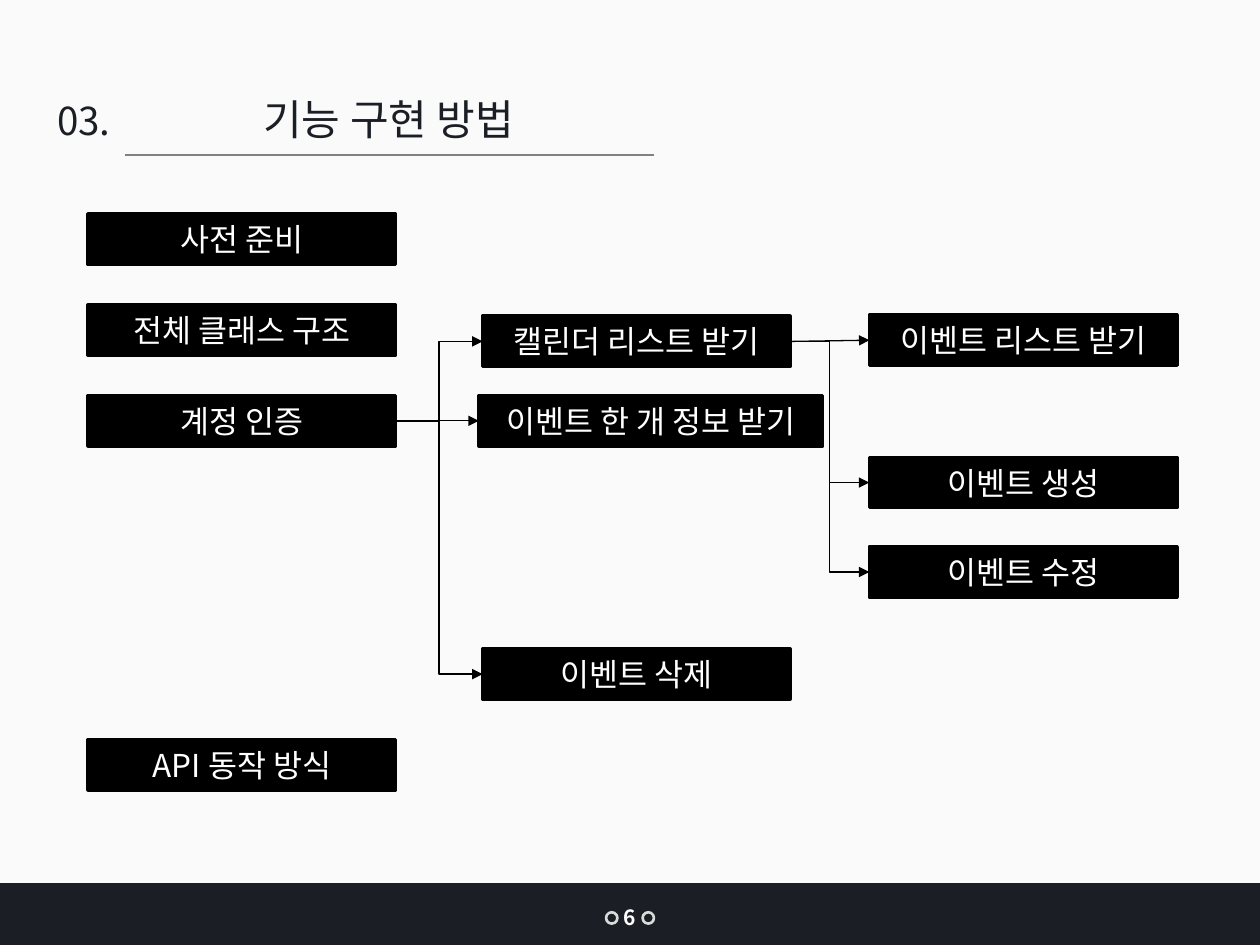
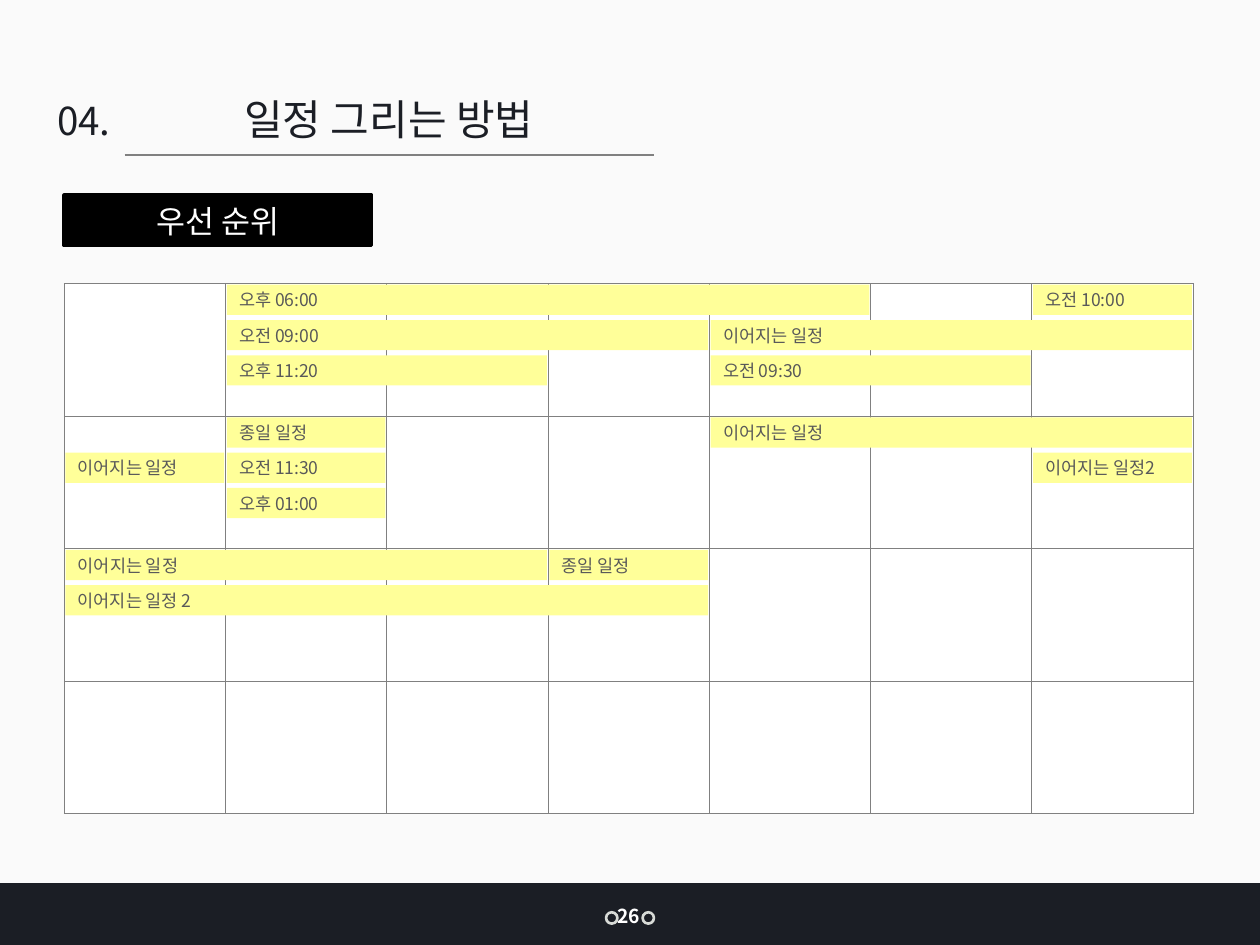
from dataclasses import dataclass

from lxml import etree
from pptx import Presentation
from pptx.dml.color import RGBColor
from pptx.enum.shapes import MSO_CONNECTOR, MSO_SHAPE
from pptx.enum.text import MSO_ANCHOR, PP_ALIGN
from pptx.oxml.ns import qn
from pptx.util import Inches, Pt

RECTANGLE, OVAL = MSO_SHAPE.RECTANGLE, MSO_SHAPE.OVAL
STRAIGHT, ELBOW = MSO_CONNECTOR.STRAIGHT, MSO_CONNECTOR.ELBOW
LEFT, CENTER = PP_ALIGN.LEFT, PP_ALIGN.CENTER
MIDDLE = MSO_ANCHOR.MIDDLE

FONT = "Noto Sans CJK KR"
COLORS = {
    "page": "FAFAFA", "navy": "1B1E25", "ring": "D8DBD7", "rule": "808080",
    "black": "000000", "white": "FFFFFF", "event": "FFFF99", "event_text": "595959",
}

# Connection sites of a rectangle
LEFT_SITE, RIGHT_SITE = 1, 3

LABEL_WIDTH, LABEL_HEIGHT = 2.44, 0.4

# Calendar grid
GRID_LEFT, GRID_TOP, GRID_WIDTH, GRID_HEIGHT = 0.51, 2.25, 8.96, 4.21
WEEKS, DAYS = 4, 7
DAY_WIDTH, WEEK_HEIGHT = GRID_WIDTH / DAYS, GRID_HEIGHT / WEEKS
EVENT_HEIGHT, LANE_STEP, EVENT_MARGIN = 0.24, 0.28, 0.01


@dataclass
class Label:
    """A black box with white text."""
    text: str
    left: float
    top: float
    width: float = LABEL_WIDTH


@dataclass
class Event:
    """A bar in the calendar: week row, lane in the week, first day and length."""
    text: str
    week: int
    lane: int
    day: int
    days: int


AUTH, CALENDARS, ONE_EVENT = "계정 인증", "캘린더 리스트 받기", "이벤트 한 개 정보 받기"
EVENTS_LIST, CREATE, UPDATE, DELETE = "이벤트 리스트 받기", "이벤트 생성", "이벤트 수정", "이벤트 삭제"
FIRST, SECOND, THIRD = 0.7, 3.83, 6.9

LABELS = [
    Label("사전 준비", FIRST, 1.7),
    Label("전체 클래스 구조", FIRST, 2.42),
    Label(AUTH, FIRST, 3.14),
    Label("API 동작 방식", FIRST, 5.87),
    Label(CALENDARS, SECOND, 2.51),
    Label(ONE_EVENT, 3.8, 3.14, 2.73),
    Label(DELETE, SECOND, 5.15),
    Label(EVENTS_LIST, THIRD, 2.5),
    Label(CREATE, THIRD, 3.63),
    Label(UPDATE, THIRD, 4.34),
]
ARROWS = [
    (CALENDARS, EVENTS_LIST, STRAIGHT),
    (AUTH, CALENDARS, ELBOW),
    (AUTH, ONE_EVENT, STRAIGHT),
    (CALENDARS, CREATE, ELBOW),
    (CALENDARS, UPDATE, ELBOW),
    (AUTH, DELETE, ELBOW),
]

EVENTS = [
    Event("오후 06:00", 0, 0, 1, 4),
    Event("오전 10:00", 0, 0, 6, 1),
    Event("오전 09:00", 0, 1, 1, 3),
    Event("이어지는 일정", 0, 1, 4, 3),
    Event("오후 11:20", 0, 2, 1, 2),
    Event("오전 09:30", 0, 2, 4, 2),
    Event("종일 일정", 1, 0, 1, 1),
    Event("이어지는 일정", 1, 0, 4, 3),
    Event("이어지는 일정", 1, 1, 0, 1),
    Event("오전 11:30", 1, 1, 1, 1),
    Event("이어지는 일정2", 1, 1, 6, 1),
    Event("오후 01:00", 1, 2, 1, 1),
    Event("이어지는 일정", 2, 0, 0, 3),
    Event("종일 일정", 2, 0, 3, 1),
    Event("이어지는 일정 2", 2, 1, 0, 4),
]


def rgb(name: str) -> RGBColor:
    """Look up a colour by name."""
    return RGBColor.from_string(COLORS[name])


def write(box, text: str, size: float, color: str, align=CENTER, bold=False, wrap=True) -> None:
    """Put one vertically centred line of text into a box."""
    frame = box.text_frame
    frame.word_wrap = wrap
    frame.vertical_anchor = MIDDLE
    frame.margin_top = frame.margin_bottom = 0
    frame.text = text
    para = frame.paragraphs[0]
    para.alignment = align
    for span in para.runs:
        font = span.font
        font.size, font.bold, font.name = Pt(size), bold, FONT
        font.color.rgb = rgb(color)
        east_asian = etree.SubElement(font._element, qn("a:ea"))
        east_asian.set("typeface", FONT)


def add_text(page, text: str, left: float, top: float, width: float, height: float,
             size: float, color: str, **style) -> None:
    """Add a text box."""
    box = page.shapes.add_textbox(Inches(left), Inches(top), Inches(width), Inches(height))
    write(box, text, size, color, **style)


def add_box(shapes, kind, left: float, top: float, width: float, height: float,
            fill: str, line: str = "", line_width: float = 0):
    """Add a flat filled shape, outlined if a line colour is given."""
    box = shapes.add_shape(kind, Inches(left), Inches(top), Inches(width), Inches(height))
    box.shadow.inherit = False
    box.fill.solid()
    box.fill.fore_color.rgb = rgb(fill)
    if line:
        box.line.color.rgb = rgb(line)
        box.line.width = Pt(line_width)
    else:
        box.line.fill.background()
    return box


def add_line(page, kind, start: tuple, end: tuple, color: str):
    """Add a thin connector without a shadow."""
    points = [Inches(value) for value in (*start, *end)]
    line = page.shapes.add_connector(kind, *points)
    line.line.color.rgb = rgb(color)
    line.line.width = Pt(0.75)
    etree.SubElement(line._element.spPr, qn("a:effectLst"))
    return line


def add_arrow(page, kind, source, target) -> None:
    """Link the right side of one box to the left side of another."""
    arrow = add_line(page, kind, (0, 0), (1, 1), "black")
    arrow.begin_connect(source, RIGHT_SITE)
    arrow.end_connect(target, LEFT_SITE)
    head = etree.SubElement(arrow.line._get_or_add_ln(), qn("a:tailEnd"))
    head.set("type", "triangle")


def add_label(page, label: Label):
    """Add a black label box."""
    box = add_box(page.shapes, RECTANGLE, label.left, label.top, label.width, LABEL_HEIGHT,
                  "black", "black", 2)
    write(box, label.text, 18, "white")
    return box


def add_page(deck, number: str, title: str):
    """Add a page with background, footer band, rings and heading."""
    page = deck.slides.add_slide(deck.slide_layouts[6])
    page.background.fill.solid()
    page.background.fill.fore_color.rgb = rgb("page")
    add_box(page.shapes, RECTANGLE, 0, 7.01, 10, 0.49, "navy")
    rings = page.shapes.add_group_shape()
    for left in (4.81, 5.1):
        add_box(rings.shapes, OVAL, left, 7.24, 0.09, 0.09, "navy", "ring", 1.5)
    add_text(page, title, 0.7, 0.69, 4.77, 0.5, 24, "navy")
    add_line(page, STRAIGHT, (0.99, 1.23), (5.19, 1.23), "rule")
    add_text(page, number, 0.3, 0.72, 0.8, 0.47, 22, "navy")
    return page


def add_page_number(page, text: str, left: float, top: float, width: float, size: float) -> None:
    """Write the page number between the footer rings."""
    add_text(page, text, left, top, width, 0.3, size, "white", align=LEFT, bold=True, wrap=False)


def style_cell(cell) -> None:
    """Give a table cell a white fill and thin grey borders."""
    properties = cell._tc.get_or_add_tcPr()
    for side in ("a:lnL", "a:lnR", "a:lnT", "a:lnB"):
        border = etree.SubElement(properties, qn(side), w=str(Pt(0.5)))
        fill = etree.SubElement(border, qn("a:solidFill"))
        etree.SubElement(fill, qn("a:srgbClr"), val=COLORS["rule"])
    cell.fill.solid()
    cell.fill.fore_color.rgb = rgb("white")


def add_calendar(page) -> None:
    """Add the empty calendar table."""
    table = page.shapes.add_table(WEEKS, DAYS, Inches(GRID_LEFT), Inches(GRID_TOP),
                                  Inches(GRID_WIDTH), Inches(GRID_HEIGHT)).table
    table.first_row = table.horz_banding = False
    for cell in table.iter_cells():
        style_cell(cell)


def add_event(page, event: Event) -> None:
    """Add an event bar over its days."""
    left = GRID_LEFT + event.day * DAY_WIDTH + EVENT_MARGIN
    top = GRID_TOP + event.week * WEEK_HEIGHT + event.lane * LANE_STEP + EVENT_MARGIN
    width = event.days * DAY_WIDTH - 2 * EVENT_MARGIN
    bar = add_box(page.shapes, RECTANGLE, left, top, width, EVENT_HEIGHT, "event")
    write(bar, event.text, 10, "event_text", align=LEFT)


def build_methods_page(deck) -> None:
    """Build the diagram of the implemented functions."""
    page = add_page(deck, "03. ", "기능 구현 방법")
    boxes = {label.text: add_label(page, label) for label in LABELS}
    for source, target, kind in ARROWS:
        add_arrow(page, kind, boxes[source], boxes[target])
    add_page_number(page, "6", 4.85, 7.13, 0.3, 12)


def build_schedule_page(deck) -> None:
    """Build the calendar showing event priority."""
    page = add_page(deck, "04. ", "일정 그리는 방법")
    add_label(page, Label("우선 순위", 0.51, 1.55))
    add_calendar(page)
    for event in EVENTS:
        add_event(page, event)
    add_page_number(page, "26", 4.8, 7.12, 0.39, 11)


def main() -> None:
    """Build and save the deck."""
    deck = Presentation()
    deck.slide_width, deck.slide_height = Inches(10), Inches(7.5)
    build_methods_page(deck)
    build_schedule_page(deck)
    deck.save("out.pptx")


main()
